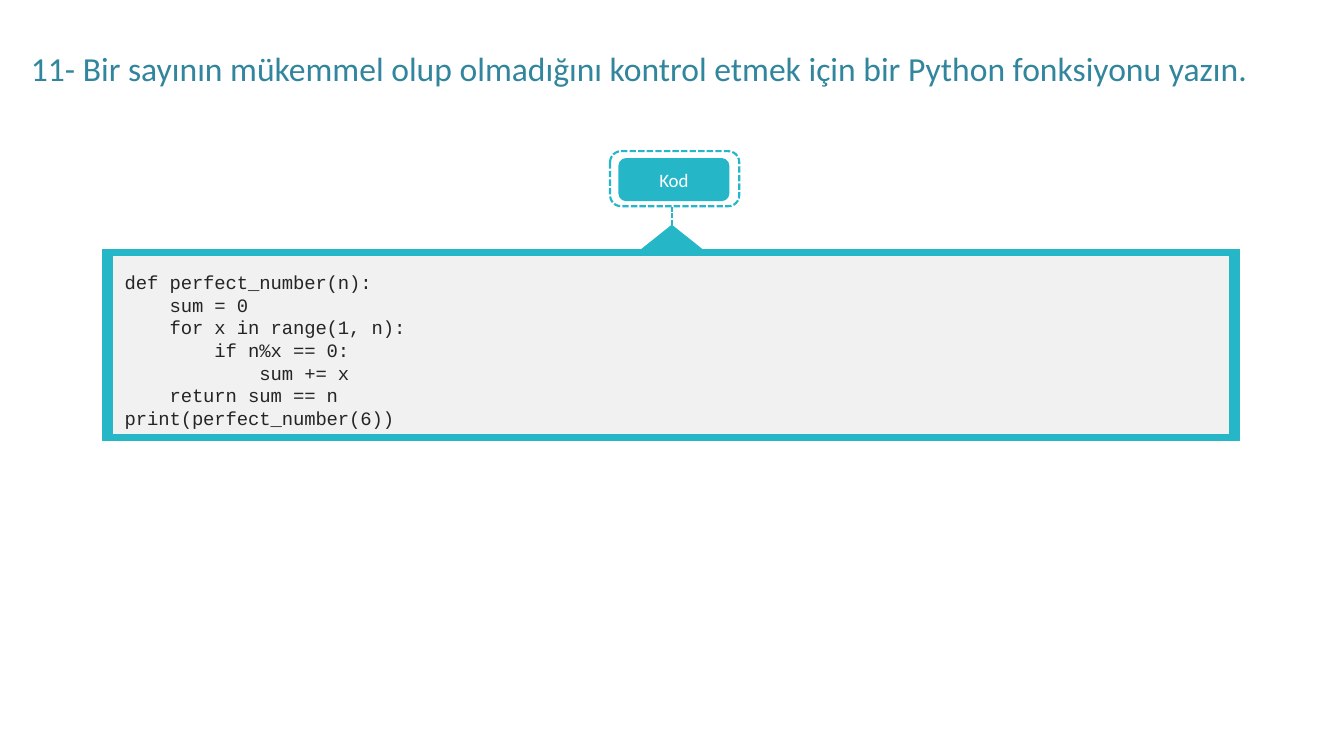
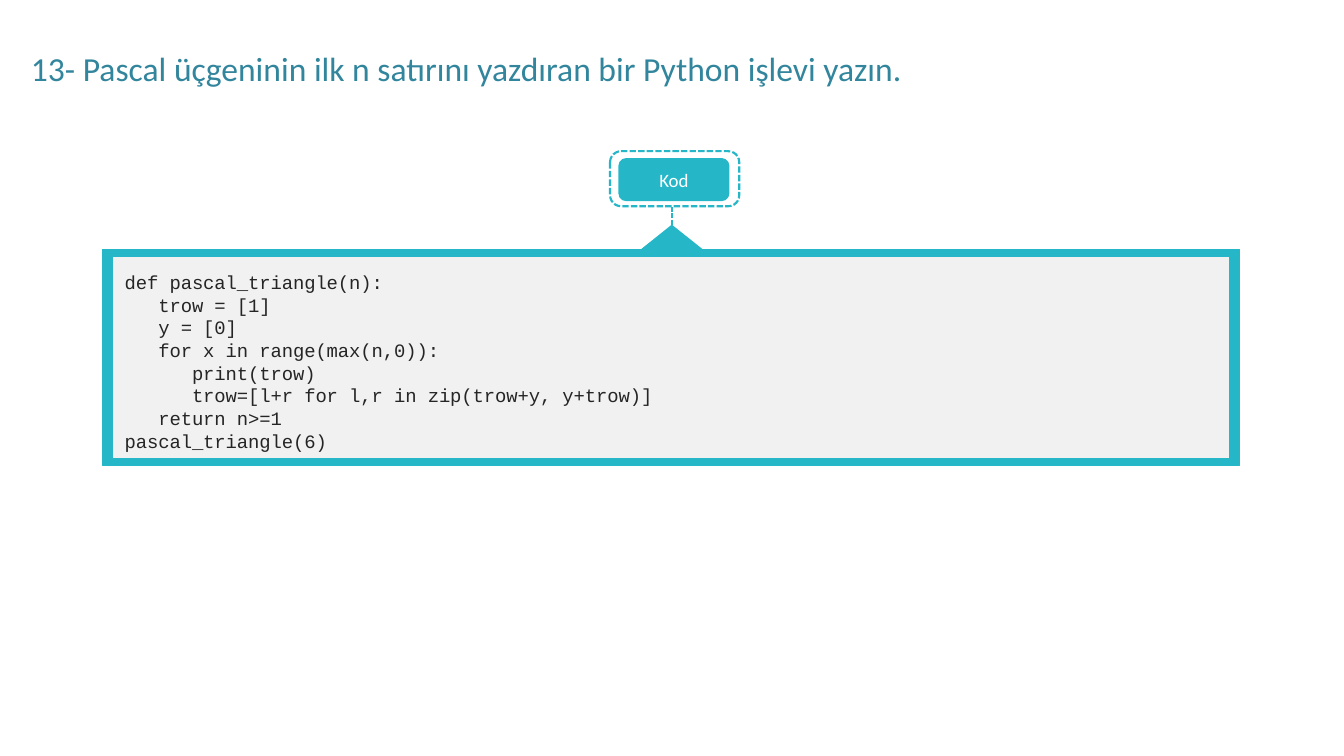
from pptx import Presentation
from pptx.dml.color import RGBColor
from pptx.enum.dml import MSO_LINE
from pptx.enum.shapes import MSO_CONNECTOR, MSO_SHAPE
from pptx.enum.text import MSO_ANCHOR, PP_ALIGN
from pptx.oxml.ns import qn
from pptx.util import Cm, Pt
from lxml import etree

TEAL = RGBColor(0x25, 0xB7, 0xC8)
TITLE_BLUE = RGBColor(0x31, 0x85, 0x9C)
LIGHT_GREY = RGBColor(0xF1, 0xF1, 0xF1)
CODE_GREY = RGBColor(0x25, 0x25, 0x25)
WHITE = RGBColor(0xFF, 0xFF, 0xFF)

TEXT_FONT = "Calibri"
CODE_FONT = "Courier New"

RECTANGLE = MSO_SHAPE.RECTANGLE
ROUNDED = MSO_SHAPE.ROUNDED_RECTANGLE
TRIANGLE = MSO_SHAPE.ISOSCELES_TRIANGLE
STRAIGHT = MSO_CONNECTOR.STRAIGHT
SHORT_DASH = MSO_LINE.SQUARE_DOT
CENTER = PP_ALIGN.CENTER
MIDDLE = MSO_ANCHOR.MIDDLE

PANEL_LEFT, PANEL_TOP, PANEL_WIDTH = 3.45, 8.38, 38.2
SIDE_BORDER = 0.33
CODE_TOP_INSET, CODE_LINE_HEIGHT = 0.43, 0.77

EXERCISES = [
    (
        "11- Bir sayının mükemmel olup olmadığını kontrol etmek için bir Python fonksiyonu yazın.",
        """def perfect_number(n):
    sum = 0
    for x in range(1, n):
        if n%x == 0:
            sum += x
    return sum == n
print(perfect_number(6))""",
        6.43,
        0.21,
    ),
    (
        "13- Pascal üçgeninin ilk n satırını yazdıran bir Python işlevi yazın.",
        """def pascal_triangle(n):
   trow = [1]
   y = [0]
   for x in range(max(n,0)):
      print(trow)
      trow=[l+r for l,r in zip(trow+y, y+trow)]
   return n>=1
pascal_triangle(6)""",
        7.26,
        0.24,
    ),
]


class ExerciseDeck:
    """Draws coding exercises in one shared style."""

    def __init__(self):
        self.presentation = Presentation()
        self.presentation.slide_width = Cm(45.16)
        self.presentation.slide_height = Cm(25.4)
        self.slide = None

    def add_slide(self):
        layout = self.presentation.slide_layouts[6]
        self.slide = self.presentation.slides.add_slide(layout)

    def format_text(self, text_frame, font_name, size, color, spacing=0):
        for paragraph in text_frame.paragraphs:
            for run in paragraph.runs:
                run.font.name = font_name
                run.font.size = Pt(size)
                run.font.color.rgb = color
                if spacing:
                    run._r.get_or_add_rPr().set("spc", str(spacing))

    def add_shape(self, kind, left, top, width, height, fill=None, line_width=0):
        shape = self.slide.shapes.add_shape(kind, Cm(left), Cm(top), Cm(width), Cm(height))
        shape.shadow.inherit = False
        if fill is None:
            shape.fill.background()
        else:
            shape.fill.solid()
            shape.fill.fore_color.rgb = fill
        if line_width:
            shape.line.color.rgb = TEAL
            shape.line.width = Pt(line_width)
        else:
            shape.line.fill.background()
        return shape

    def add_text_box(self, text, left, top, width, height):
        box = self.slide.shapes.add_textbox(Cm(left), Cm(top), Cm(width), Cm(height))
        box.text_frame.word_wrap = True
        box.text_frame.text = text
        return box.text_frame

    def add_title(self, text):
        text_frame = self.add_text_box(text, 0.79, 1.47, 43.18, 1.63)
        self.format_text(text_frame, TEXT_FONT, 32, TITLE_BLUE)

    def add_dashed_stem(self, x, top, bottom):
        stem = self.slide.shapes.add_connector(STRAIGHT, Cm(x), Cm(top), Cm(x), Cm(bottom))
        stem.line.color.rgb = TEAL
        stem.line.width = Pt(1.5)
        stem.line.dash_style = SHORT_DASH
        etree.SubElement(stem._element.spPr, qn("a:effectLst"))

    def add_label(self, text):
        frame = self.add_shape(ROUNDED, 20.5, 5.08, 4.34, 1.85, line_width=2.04)
        frame.adjustments[0] = 0.2
        frame.line.dash_style = SHORT_DASH
        badge = self.add_shape(ROUNDED, 20.78, 5.31, 3.73, 1.45, fill=TEAL)
        badge.adjustments[0] = 0.18
        badge.text_frame.text = text
        badge.text_frame.vertical_anchor = MIDDLE
        badge.text_frame.paragraphs[0].alignment = CENTER
        self.format_text(badge.text_frame, TEXT_FONT, 18, WHITE, -10)
        self.add_dashed_stem(22.58, 6.96, 7.59)
        self.add_shape(TRIANGLE, 21.56, 7.57, 2.03, 0.81, TEAL, 0.96)

    def add_code_panel(self, code, height, border):
        self.add_shape(RECTANGLE, PANEL_LEFT, PANEL_TOP, PANEL_WIDTH, height, TEAL, 0.96)
        self.add_shape(
            RECTANGLE,
            PANEL_LEFT + SIDE_BORDER,
            PANEL_TOP + border,
            PANEL_WIDTH - 2 * SIDE_BORDER,
            height - 2 * border,
            LIGHT_GREY,
            0.96,
        )
        line_count = len(code.splitlines())
        text_height = CODE_TOP_INSET + line_count * CODE_LINE_HEIGHT
        text_frame = self.add_text_box(code, 4.19, 8.66, 37.2, text_height)
        text_frame.margin_left = text_frame.margin_right = text_frame.margin_bottom = 0
        text_frame.margin_top = Cm(CODE_TOP_INSET)
        self.format_text(text_frame, CODE_FONT, 18, CODE_GREY, -10)


def main():
    deck = ExerciseDeck()
    for title, code, panel_height, border in EXERCISES:
        deck.add_slide()
        deck.add_label("Kod")
        deck.add_code_panel(code, panel_height, border)
        deck.add_title(title)
    deck.presentation.save("out.pptx")


if __name__ == "__main__":
    main()
